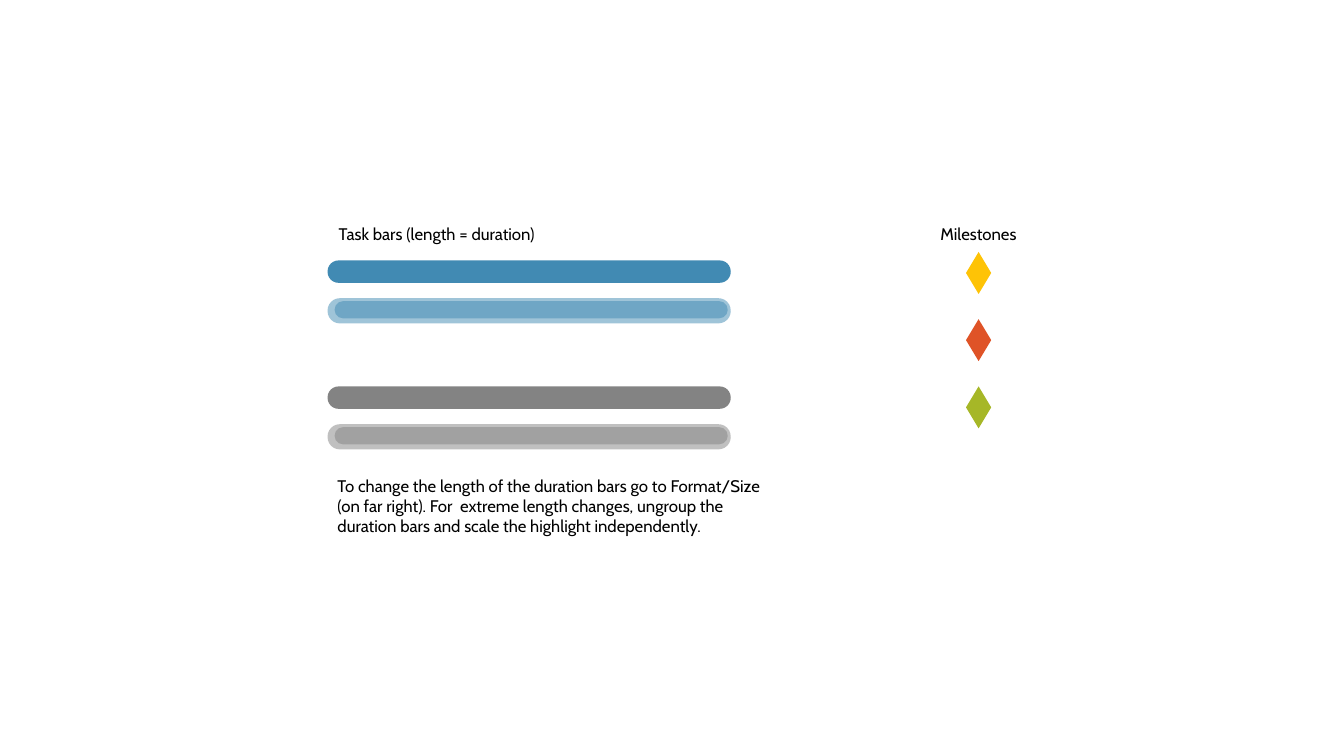
from collections import namedtuple

from lxml.etree import SubElement
from pptx import Presentation
from pptx.dml.color import RGBColor
from pptx.enum.shapes import MSO_SHAPE
from pptx.enum.text import MSO_ANCHOR, PP_ALIGN
from pptx.oxml.ns import qn
from pptx.util import Inches, Pt

COLORS = {
    "text": "000000",
    "blue": "418AB3",
    "gray": "838383",
    "yellow": "FEC306",
    "red": "DF5327",
    "green": "A6B727",
}
FONT = "Cabin"
COLUMNS, ROWS = 160, 90
CELL = Inches(1 / 12)
BAR_ROUNDING = 0.487

Box = namedtuple("Box", "left top width height")


def to_lengths(box):
    return [round(cells * CELL) for cells in box]


def add_label(page, box, text, align):
    label = page.shapes.add_textbox(*to_lengths(box))
    frame = label.text_frame
    frame.word_wrap = True
    frame.vertical_anchor = MSO_ANCHOR.TOP
    para = frame.paragraphs[0]
    para.alignment = align
    span = para.add_run()
    span.text = text
    span.font.name = FONT
    span.font.size = Pt(12)
    span.font.color.rgb = RGBColor.from_string(COLORS["text"])


def add_filled(shapes, kind, box, color, opacity=100):
    shape = shapes.add_shape(kind, *to_lengths(box))
    shape.shadow.inherit = False
    shape.line.fill.background()
    shape.fill.solid()
    shape.fill.fore_color.rgb = RGBColor.from_string(COLORS[color])
    if opacity < 100:
        tint = shape.fill._xPr.find(qn("a:solidFill"))[0]
        SubElement(tint, qn("a:alpha")).set("val", str(opacity * 1000))
    return shape


def add_bar(shapes, box, color, opacity=100):
    bar = add_filled(shapes, MSO_SHAPE.ROUNDED_RECTANGLE, box, color, opacity)
    bar.adjustments[0] = BAR_ROUNDING


def add_bar_pair(page, box, color):
    add_bar(page.shapes, box._replace(height=2.67), color)
    outer = box._replace(top=box.top + 4.5, height=3)
    highlight = Box(outer.left + 0.84, outer.top + 0.36, outer.width - 1.2, 2.04)
    group = page.shapes.add_group_shape()
    for part in (outer, highlight):
        add_bar(group.shapes, part, color, opacity=50)


def add_task_bars(page, box):
    add_label(page, Box(box.left - 1, box.top, 28, 3.6),
              "Task bars (length = duration)", PP_ALIGN.CENTER)
    for index, color in enumerate(("blue", "gray")):
        pair = Box(box.left, box.top + 5 + 15 * index, 48, 7.5)
        add_bar_pair(page, pair, color)
    add_label(page, Box(box.left, box.top + 30, box.width, 8.5),
              "To change the length of the duration bars go to Format/Size "
              "(on far right). For  extreme length changes, ungroup the "
              "duration bars and scale the highlight independently.",
              PP_ALIGN.LEFT)


def add_milestones(page, box):
    add_label(page, box._replace(height=3.6), "Milestones", PP_ALIGN.CENTER)
    width, height, pitch = 3, 5, 8
    left = box.left + (box.width - width) / 2
    for index, color in enumerate(("yellow", "red", "green")):
        diamond = Box(left, box.top + 4 + pitch * index, width, height)
        add_filled(page.shapes, MSO_SHAPE.FLOWCHART_DECISION, diamond, color)


deck = Presentation()
deck.slide_width = COLUMNS * CELL
deck.slide_height = ROWS * CELL
page = deck.slides.add_slide(deck.slide_layouts[6])
add_task_bars(page, Box(39, 26, 53, 38.5))
add_milestones(page, Box(105.6, 26, 21.8, 25))
deck.save("out.pptx")
